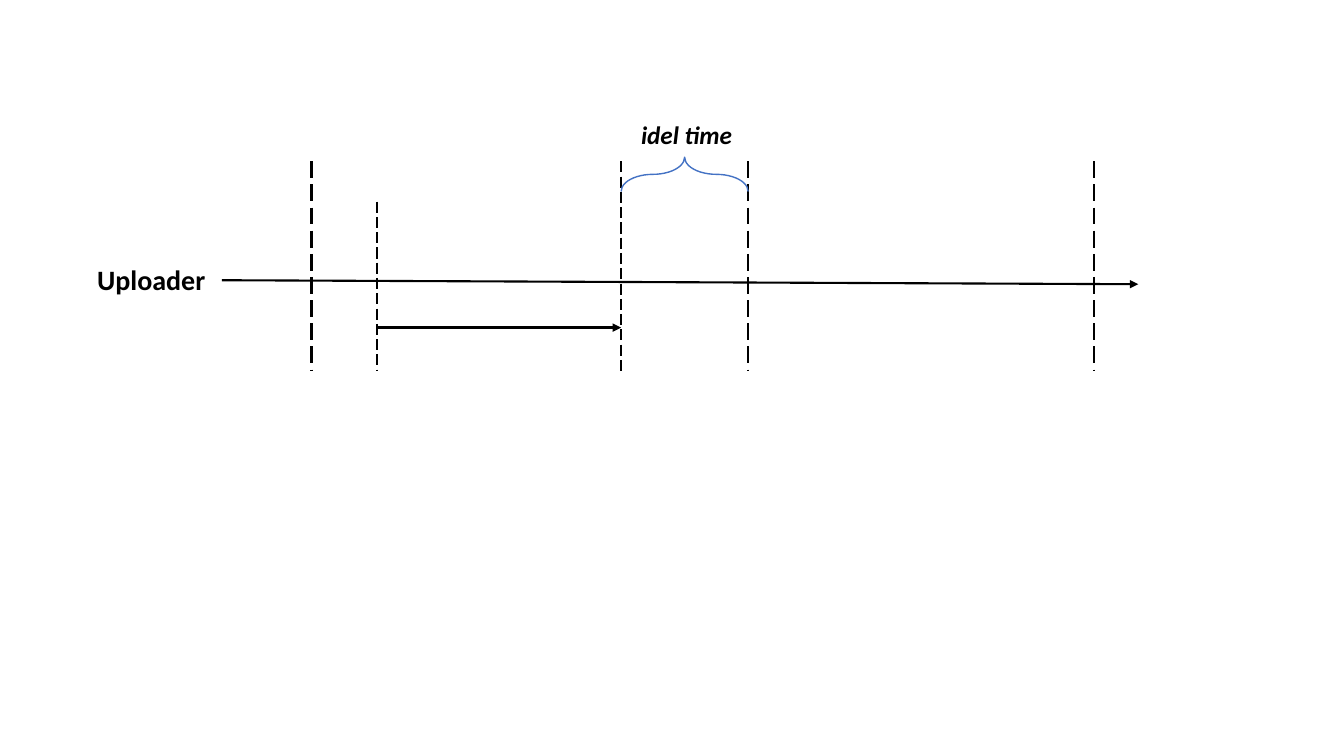
from lxml import etree
from pptx import Presentation
from pptx import util as u
from pptx.dml.color import RGBColor
from pptx.enum import dml, shapes, text
from pptx.oxml.ns import qn

INK = {"black": "000000", "blue": "4472C4"}


class Board:
    font = "Calibri"

    def __init__(self, slide):
        self.items = slide.shapes

    def color(self, name):
        return RGBColor.from_string(INK[name])

    def line(self, start, end, width, dash=False, arrow=False):
        ends = [u.Inches(v) for v in (*start, *end)]
        link = self.items.add_connector(shapes.MSO_CONNECTOR.STRAIGHT, *ends)
        link.line.color.rgb = self.color("black")
        link.line.width = u.Pt(width)
        if dash:
            link.line.dash_style = dml.MSO_LINE.LONG_DASH
        if arrow:
            stroke = link.line._get_or_add_ln()
            etree.SubElement(stroke, qn("a:tailEnd"), type="triangle")
        etree.SubElement(link._element.spPr, qn("a:effectLst"))

    def brace(self, left, top, width, height, curve):
        box = [u.Inches(v) for v in (left, top, width, height)]
        brace = self.items.add_shape(shapes.MSO_SHAPE.LEFT_BRACE, *box)
        brace.rotation = 90
        brace.adjustments[0] = curve
        brace.adjustments[1] = 0.5
        brace.shadow.inherit = False
        brace.fill.background()
        brace.line.color.rgb = self.color("blue")
        brace.line.width = u.Pt(1)

    def label(self, words, left, top, width, height, size, align, slant=False):
        box = [u.Inches(v) for v in (left, top, width, height)]
        frame = self.items.add_textbox(*box).text_frame
        frame.word_wrap = True
        frame.auto_size = text.MSO_AUTO_SIZE.SHAPE_TO_FIT_TEXT
        para = frame.paragraphs[0]
        para.text = words
        para.alignment = align
        para.font.name = self.font
        para.font.size = u.Pt(size)
        para.font.bold = True
        para.font.italic = slant
        para.font.color.rgb = self.color("black")


def main():
    deck = Presentation()
    deck.slide_width = u.Inches(13.33)
    deck.slide_height = u.Inches(7.5)
    board = Board(deck.slides.add_slide(deck.slide_layouts[6]))

    begin, idle = 3.74, 6.16
    board.label("Uploader", 0.84, 2.56, 1.32, 0.44, 20, text.PP_ALIGN.CENTER)
    board.line((begin, 3.25), (idle, 3.25), 2, arrow=True)
    board.line((begin, 2), (begin, 3.67), 1, dash=True)
    board.line((2.2, 2.78), (11.29, 2.82), 1.5, arrow=True)
    for mark in (3.09, 7.42, 10.85):
        board.line((mark, 1.6), (mark, 3.68), 1.5, dash=True)
    board.line((idle, 1.6), (idle, 3.71), 1, dash=True)
    board.brace(6.62, 1.1, 0.34, 1.26, 1.18)
    board.label("idel time", 6.26, 1.13, 1.2, 0.4, 18, text.PP_ALIGN.LEFT, slant=True)
    deck.save("out.pptx")


if __name__ == "__main__":
    main()
